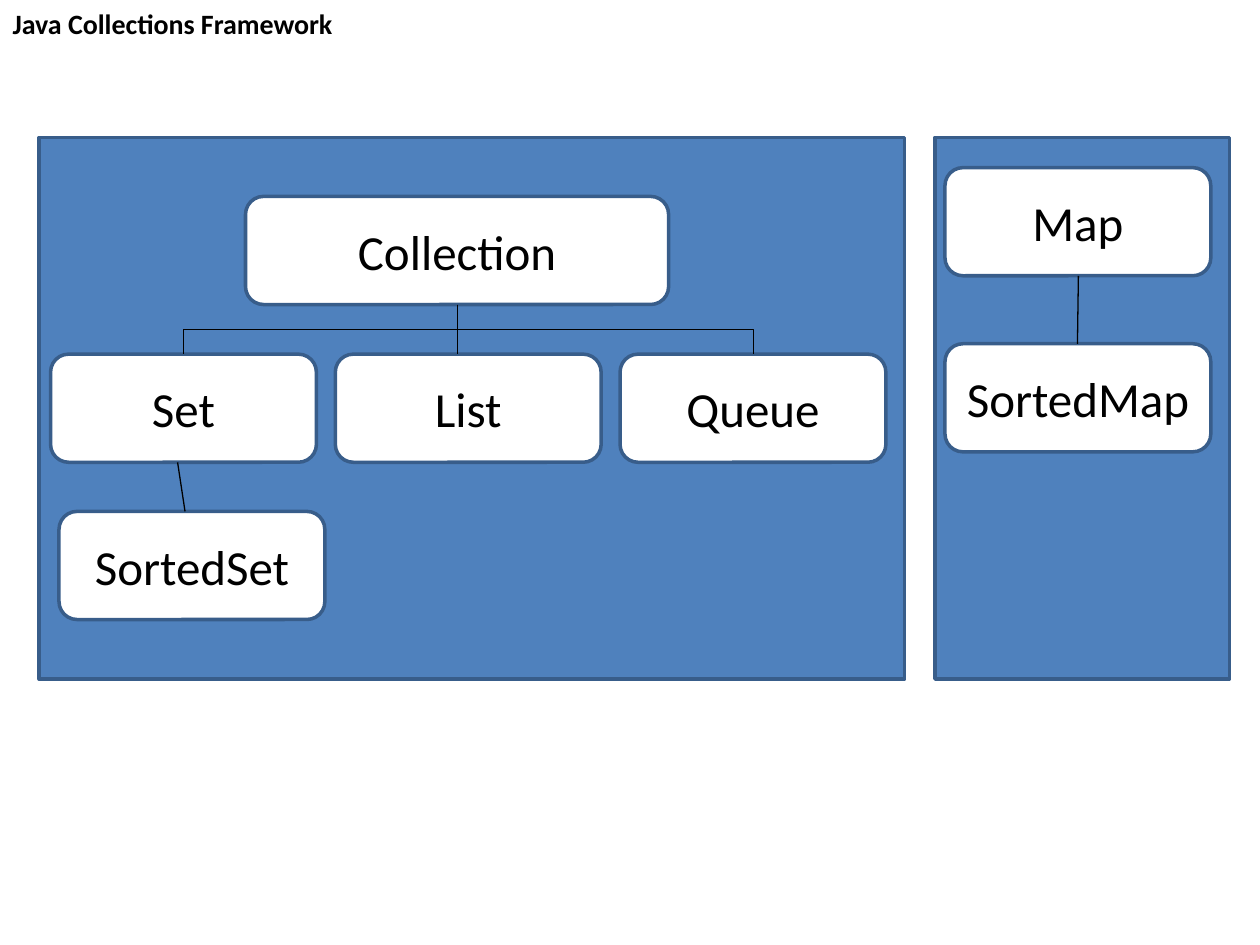
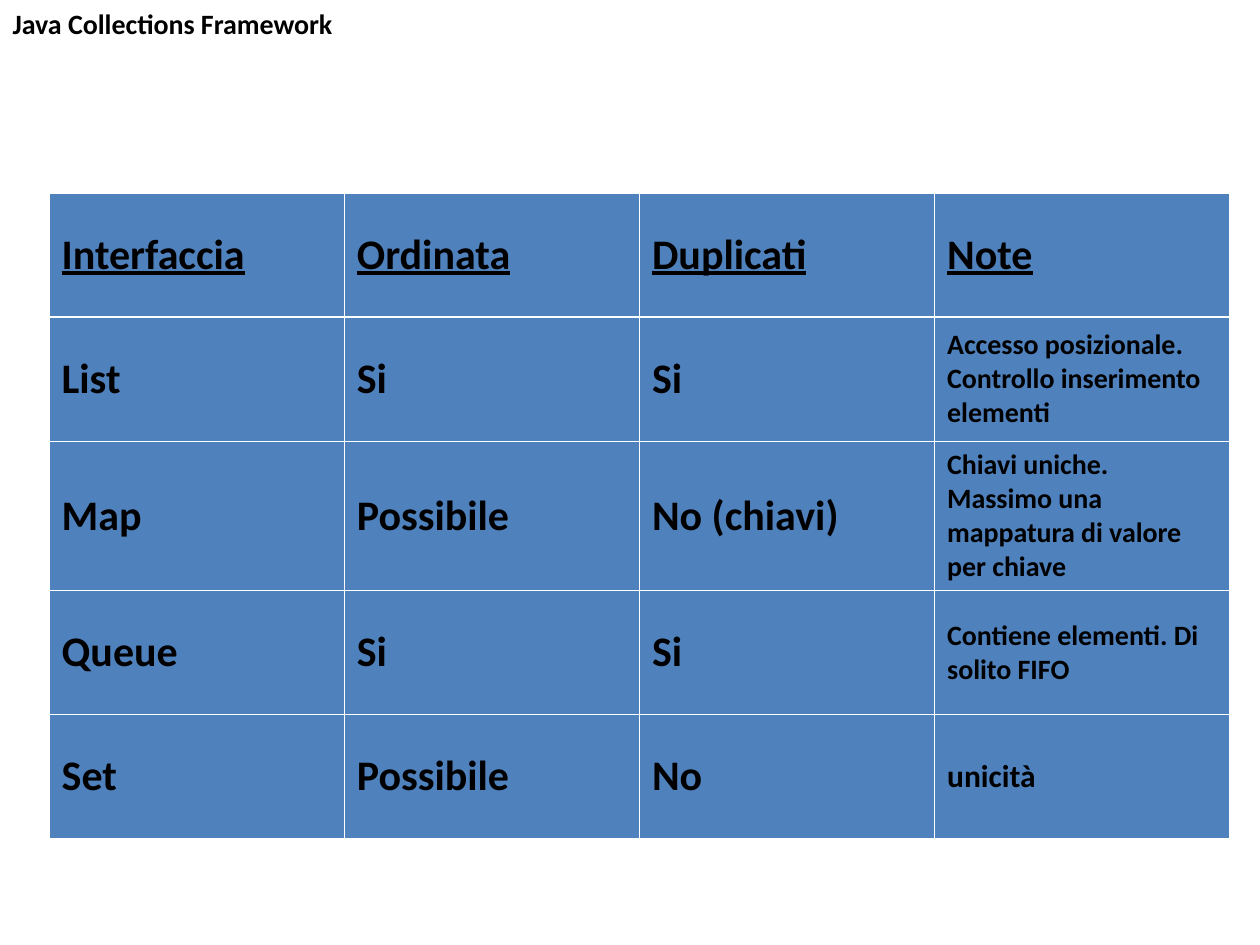
"""Build two slides on the Java Collections Framework: a hierarchy diagram and a comparison table."""
from lxml import etree
from pptx import Presentation, util as u
from pptx.dml.color import RGBColor
from pptx.enum import shapes, text
from pptx.oxml.ns import qn

FONT = "Calibri"
BLUE, EDGE, WHITE, BLACK = "4F81BD", "385D8A", "FFFFFF", "000000"


def paint(fmt, color):
    """Give a fill or the fill of a line one solid colour."""
    fmt.solid()
    fmt.fore_color.rgb = RGBColor.from_string(color)


def add_run(p, content, size, bold=False, underline=False):
    """Add one formatted run to a paragraph."""
    r = p.add_run()
    r.text = content
    r.font.name, r.font.size = FONT, u.Pt(size)
    r.font.bold, r.font.underline = bold, underline
    paint(r.font.fill, BLACK)


prs = Presentation()
prs.slide_width, prs.slide_height = u.Cm(25.4), u.Cm(19.05)
layout = prs.slide_layouts[5]

for _ in range(2):
    title = prs.slides.add_slide(layout).shapes.title
    title.left, title.top, title.width, title.height = u.Cm(0), u.Cm(0), u.Cm(8.13), u.Cm(0.94)
    tf = title.text_frame
    tf.auto_size = text.MSO_AUTO_SIZE.NONE
    tf.vertical_anchor = text.MSO_ANCHOR.TOP
    p = tf.paragraphs[0]
    p.alignment = text.PP_ALIGN.LEFT
    add_run(p, "Java Collections Framework", 16, bold=True)

diagram, comparison = prs.slides

RECT, ROUND = shapes.MSO_SHAPE.RECTANGLE, shapes.MSO_SHAPE.ROUNDED_RECTANGLE
BOX_W, BOX_H = 5.36, 2.18
PANEL_TOP, PANEL_H = 2.77, 10.92
row_boxes = [(ROUND, name, 1.02 + i * 5.74, 7.14, BOX_W, BOX_H)
             for i, name in enumerate(["Set", "List", "Queue"])]
boxes = [
    (RECT, "", 0.79, PANEL_TOP, 17.45, PANEL_H),
    (RECT, "", 18.85, PANEL_TOP, 5.94, PANEL_H),
    (ROUND, "Collection", 4.95, 3.96, 8.53, BOX_H),
    *row_boxes,
    (ROUND, "SortedSet", 1.19, 10.31, BOX_W, BOX_H),
    (ROUND, "Map", 19.05, 3.38, BOX_W, BOX_H),
    (ROUND, "SortedMap", 19.05, 6.93, BOX_W, BOX_H),
]
for kind, name, x, y, w, h in boxes:
    sp = diagram.shapes.add_shape(kind, u.Cm(x), u.Cm(y), u.Cm(w), u.Cm(h))
    sp.shadow.inherit = False
    paint(sp.fill, WHITE if name else BLUE)
    paint(sp.line.fill, EDGE)
    sp.line.width = u.Pt(2)
    if name:
        tf = sp.text_frame
        tf.word_wrap = True
        tf.vertical_anchor = text.MSO_ANCHOR.MIDDLE
        p = tf.paragraphs[0]
        p.alignment = text.PP_ALIGN.CENTER
        add_run(p, name, 28)

STRAIGHT, ELBOW = shapes.MSO_CONNECTOR.STRAIGHT, shapes.MSO_CONNECTOR.ELBOW
links = [
    (ELBOW, 9.22, 6.14, 3.7, 7.14),
    (ELBOW, 9.22, 6.14, 15.19, 7.14),
    (STRAIGHT, 9.22, 6.14, 9.22, 7.14),
    (STRAIGHT, 3.58, 9.32, 3.73, 10.31),
    (STRAIGHT, 21.74, 5.56, 21.72, 6.93),
]
for kind, x1, y1, x2, y2 in links:
    ends = x1, y1, x2, y2
    if kind == ELBOW:
        cx, cy = (x1 + x2) / 2, (y1 + y2) / 2
        dx, dy = (y2 - y1) / 2, abs(x2 - x1) / 2
        side = 1 if x2 > x1 else -1
        ends = cx + side * dx, cy - dy, cx - side * dx, cy + dy
    cxn = diagram.shapes.add_connector(kind, *[u.Cm(v) for v in ends])
    paint(cxn.line.fill, BLACK)
    cxn.line.width = u.Pt(0.75)
    spPr = cxn.element.spPr
    etree.SubElement(spPr, qn("a:effectLst"))
    if kind == ELBOW:
        spPr.find(qn("a:xfrm")).set("rot", str((270 if x2 > x1 else 90) * 60000))

rows = [
    ("Interfaccia", "Ordinata", "Duplicati", "Note"),
    ("List", "Si", "Si", "Accesso posizionale. Controllo inserimento elementi"),
    ("Map", "Possibile", "No (chiavi)", "Chiavi uniche. Massimo una mappatura di valore per chiave"),
    ("Queue", "Si", "Si", "Contiene elementi. Di solito FIFO"),
    ("Set", "Possibile", "No", "unicità"),
]
note_sizes = [24, 16, 16, 16, 18]
row_heights = [2.5, 2.5, 2.98, 2.5, 2.5]
table = comparison.shapes.add_table(
    len(rows), 4, u.Cm(0.99), u.Cm(3.89), u.Cm(23.8), u.Cm(sum(row_heights))).table
table.first_row = table.horz_banding = False
for col in table.columns:
    col.width = u.Cm(5.95)
for i, (row, height) in enumerate(zip(rows, row_heights)):
    table.rows[i].height = u.Cm(height)
    for j, content in enumerate(row):
        cell = table.cell(i, j)
        cell.vertical_anchor = text.MSO_ANCHOR.MIDDLE
        tcPr = cell._tc.get_or_add_tcPr()
        for edge in "LRTB":
            under_header = (i, edge) in [(0, "B"), (1, "T")]
            ln = etree.SubElement(tcPr, qn("a:ln" + edge), w=str(u.Pt(1.47 if under_header else 0.45)))
            fill = etree.SubElement(ln, qn("a:solidFill"))
            etree.SubElement(fill, qn("a:srgbClr"), val=WHITE)
        paint(cell.fill, BLUE)
        size = note_sizes[i] if j == 3 else 24
        add_run(cell.text_frame.paragraphs[0], content, size, bold=True, underline=i == 0)

prs.save("out.pptx")
